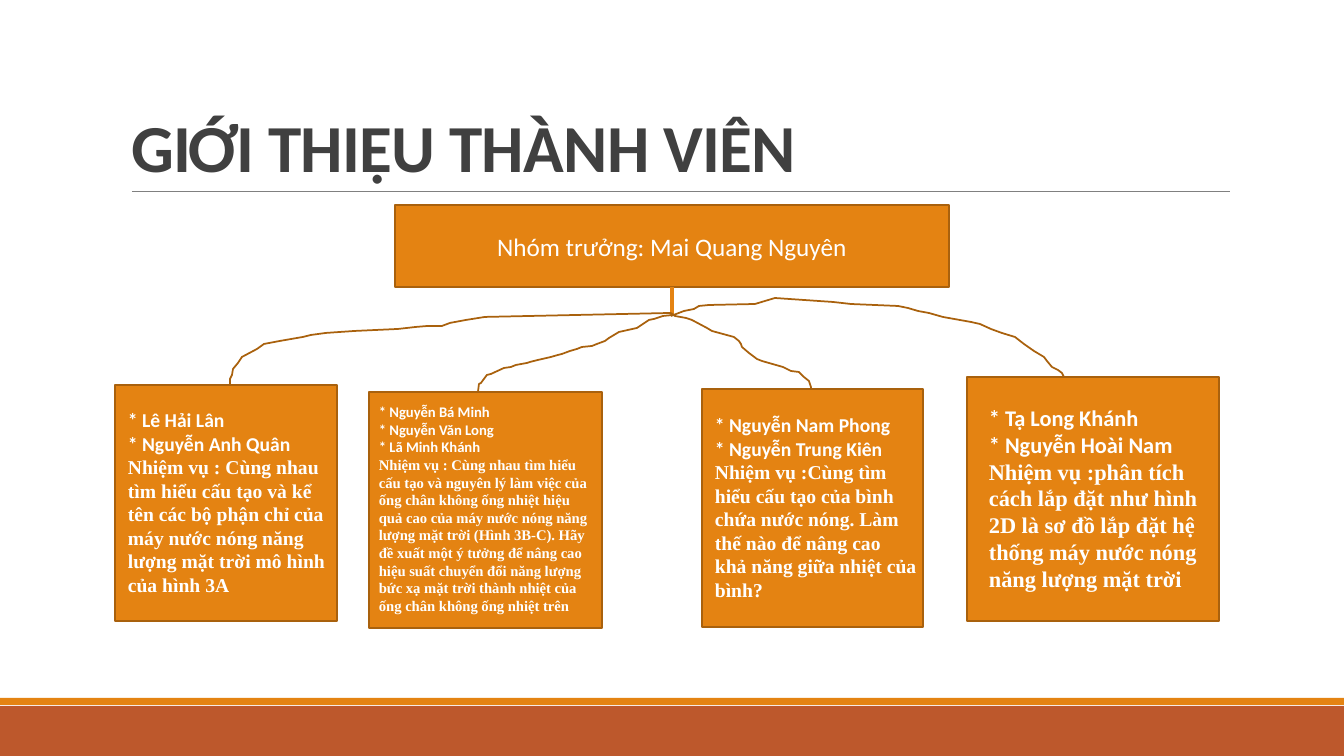
from lxml import etree
from pptx import Presentation
from pptx.dml.color import RGBColor
from pptx.enum.shapes import MSO_CONNECTOR, MSO_SHAPE
from pptx.enum.text import MSO_ANCHOR, MSO_AUTO_SIZE, PP_ALIGN
from pptx.oxml.ns import qn
from pptx.util import Emu, Pt

PX = 12192000 / 1344
ORANGE, BROWN, RUST = "E48312", "A9610D", "BD582C"
WHITE, GREY, DARK = "FFFFFF", "808080", "404040"
SANS, SERIF = "Calibri", "Times New Roman"

# Each member: card box, text box, text size, names, task
MEMBERS = [
    ((115, 385, 222, 236), (118, 403, 222, 201), 14,
     ["Lê Hải Lân", "Nguyễn Anh Quân"],
     "Nhiệm vụ : Cùng nhau tìm hiểu cấu tạo và kể tên các bộ phận chỉ của "
     "máy nước nóng năng lượng mặt trời mô hình của hình 3A"),
    ((369, 392, 233, 236), (369, 398, 233, 243), 10.5,
     ["Nguyễn Bá Minh", "Nguyễn Văn Long", "Lã Minh Khánh"],
     "Nhiệm vụ : Cùng nhau tìm hiểu cấu tạo và nguyên lý làm việc của ống chân "
     "không ống nhiệt hiệu quả cao của máy nước nóng năng lượng mặt trời "
     "(Hình 3B-C). Hãy đề xuất một ý tưởng để nâng cao hiệu suất chuyển đổi "
     "năng lượng bức xạ mặt trời thành nhiệt của ống chân không ống nhiệt trên"),
    ((702, 389, 221, 238), (705, 408, 222, 201), 14,
     ["Nguyễn Nam Phong", "Nguyễn Trung Kiên"],
     "Nhiệm vụ :Cùng tìm hiểu cấu tạo của bình chứa nước nóng. Làm thế nào để "
     "nâng cao khả năng giữa nhiệt của bình?"),
    ((967, 377, 252, 244), (979, 399, 248, 201), 16,
     ["Tạ Long Khánh", "Nguyễn Hoài Nam"],
     "Nhiệm vụ :phân tích cách lắp đặt như hình 2D là sơ đồ lắp đặt hệ thống "
     "máy nước nóng năng lượng mặt trời"),
]

# Hand-drawn branches from the leader down to each card
BRANCHES = [
    [(671, 313), (485, 317), (466, 320), (450, 323), (442, 326), (428, 326),
     (416, 327), (398, 329), (355, 331), (326, 333), (311, 335), (303, 337),
     (280, 341), (264, 344), (257, 349), (242, 357), (238, 363), (233, 369),
     (232, 375), (230, 379), (230, 385)],
    [(673, 315), (663, 316), (654, 319), (649, 320), (637, 328), (619, 332),
     (609, 338), (605, 341), (597, 344), (592, 346), (582, 347), (577, 349),
     (570, 351), (562, 354), (558, 355), (551, 357), (538, 360), (530, 362),
     (527, 363), (516, 365), (511, 367), (504, 368), (491, 374), (487, 375),
     (481, 383), (479, 384), (478, 392)],
    [(671, 313), (675, 316), (686, 318), (692, 320), (707, 328), (712, 331),
     (734, 337), (739, 341), (741, 344), (742, 347), (749, 353), (757, 359),
     (762, 361), (783, 367), (791, 371), (799, 372), (804, 377), (809, 381),
     (811, 387), (811, 389)],
    [(671, 316), (684, 311), (694, 309), (699, 306), (709, 305), (755, 304),
     (765, 301), (775, 298), (833, 302), (851, 304), (898, 306), (908, 308),
     (918, 311), (929, 313), (943, 317), (971, 322), (980, 324), (991, 329),
     (1002, 333), (1015, 337), (1024, 344), (1034, 351), (1044, 357),
     (1047, 361), (1052, 367), (1058, 370), (1062, 373), (1064, 377)],
]


def px(length):
    return Emu(round(length * PX))


def color(value):
    return RGBColor.from_string(value)


def place(box):
    return [px(length) for length in box]


def add_rect(slide, box, fill, line=None):
    rect = slide.shapes.add_shape(MSO_SHAPE.RECTANGLE, *place(box))
    rect.shadow.inherit = False
    rect.fill.solid()
    rect.fill.fore_color.rgb = color(fill)
    if line:
        rect.line.color.rgb = color(line)
        rect.line.width = Pt(1.25)
    else:
        rect.line.fill.background()
    return rect


def add_line(slide, start, end, line, width):
    connector = slide.shapes.add_connector(
        MSO_CONNECTOR.STRAIGHT, *place(start), *place(end))
    connector.line.color.rgb = color(line)
    connector.line.width = Pt(width)
    etree.SubElement(connector._element.spPr, qn("a:effectLst"))


def add_run(para, text, size, fill=WHITE, font=SANS, bold=False):
    span = para.add_run()
    span.text = text
    span.font.size = Pt(size)
    span.font.name = font
    span.font.bold = bold
    span.font.color.rgb = color(fill)
    return span


def add_backdrop(slide):
    add_rect(slide, (0, 706, 1344, 50), RUST)
    add_rect(slide, (0, 698, 1344, 7), ORANGE)
    add_line(slide, (132, 191), (1230, 191), GREY, 0.5)


def add_title(slide, box, text):
    title = slide.shapes.title
    title.left, title.top, title.width, title.height = place(box)
    frame = title.text_frame
    frame.vertical_anchor = MSO_ANCHOR.BOTTOM
    frame.word_wrap = True
    frame.auto_size = MSO_AUTO_SIZE.NONE
    para = frame.paragraphs[0]
    para.alignment = PP_ALIGN.LEFT
    para.line_spacing = 0.85
    span = add_run(para, text, 48, DARK, bold=True)
    span.font._element.set("spc", "-50")


def add_leader(slide, box, text):
    """Draw the leader's box and the short stem below it."""
    left, top, width, height = box
    frame = add_rect(slide, box, ORANGE, BROWN).text_frame
    frame.vertical_anchor = MSO_ANCHOR.MIDDLE
    frame.word_wrap = True
    para = frame.paragraphs[0]
    para.alignment = PP_ALIGN.CENTER
    add_run(para, text, 18)
    middle, bottom = left + width / 2, top + height
    add_line(slide, (middle, bottom), (middle, bottom + 28), ORANGE, 3)


def add_branch(slide, points):
    builder = slide.shapes.build_freeform(*points[0], scale=PX)
    builder.add_line_segments(points[1:], close=False)
    branch = builder.convert_to_shape()
    branch.shadow.inherit = False
    branch.fill.background()
    branch.line.color.rgb = color(BROWN)
    branch.line.width = Pt(1.25)


def add_member(slide, card_box, text_box, size, names, task):
    add_rect(slide, card_box, ORANGE, BROWN)
    frame = slide.shapes.add_textbox(*place(text_box)).text_frame
    frame.word_wrap = True
    para = frame.paragraphs[0]
    for name in names:
        add_run(para, f"* {name}", size, bold=True)
        para = frame.add_paragraph()
    add_run(para, task, size, font=SERIF, bold=True)


def main():
    deck = Presentation()
    deck.slide_width, deck.slide_height = px(1344), px(756)
    slide = deck.slides.add_slide(deck.slide_layouts[5])
    add_backdrop(slide)
    add_title(slide, (121, 31, 1109, 160), "GIỚI THIỆU THÀNH VIÊN")
    add_leader(slide, (395, 205, 554, 82), "Nhóm trưởng: Mai Quang Nguyên")
    for points in BRANCHES:
        add_branch(slide, points)
    for member in MEMBERS:
        add_member(slide, *member)
    deck.save("out.pptx")


if __name__ == "__main__":
    main()
